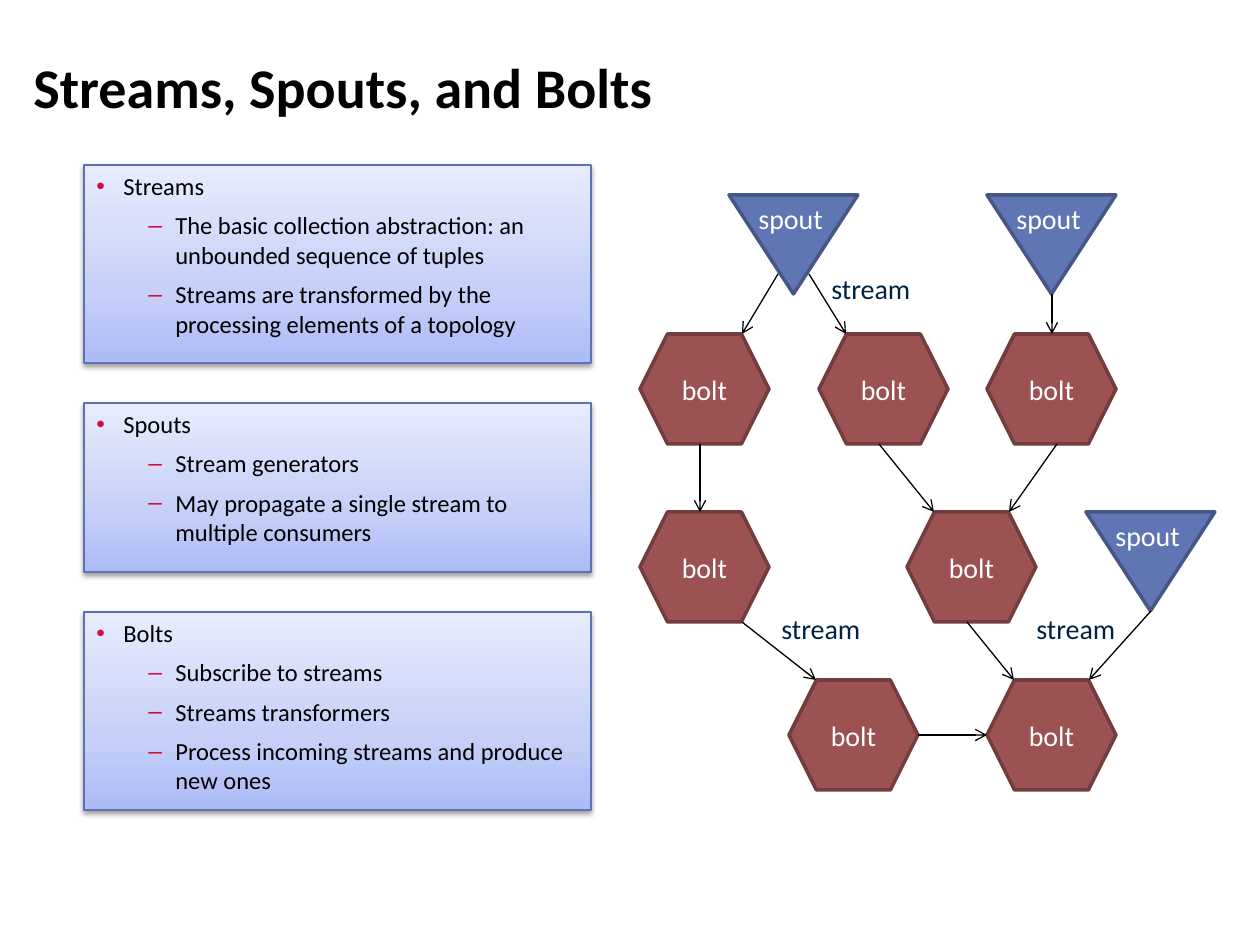
from lxml import etree
from pptx import Presentation
from pptx.dml.color import RGBColor
from pptx.enum.shapes import MSO_CONNECTOR, MSO_SHAPE
from pptx.enum.text import MSO_ANCHOR, MSO_AUTO_SIZE, PP_ALIGN
from pptx.oxml import parse_xml
from pptx.oxml.ns import nsdecls, qn
from pptx.util import Emu, Pt

RECTANGLE, HEXAGON = MSO_SHAPE.RECTANGLE, MSO_SHAPE.HEXAGON
TRIANGLE = MSO_SHAPE.ISOSCELES_TRIANGLE
STRAIGHT = MSO_CONNECTOR.STRAIGHT
TOP, MIDDLE = MSO_ANCHOR.TOP, MSO_ANCHOR.MIDDLE
LEFT, CENTER = PP_ALIGN.LEFT, PP_ALIGN.CENTER
FIT_SHAPE = MSO_AUTO_SIZE.SHAPE_TO_FIT_TEXT

PX_PER_INCH = 126
COLORS = {
    "black": "000000", "white": "FFFFFF", "stream": "002244",
    "bolt": "9C5252", "bolt_line": "733D3D",
    "spout": "6076B4", "spout_line": "475785",
    "panel_line": "5C72B2", "bullet": "CF103A",
    "panel_dark": "ADBBF6", "panel_mid": "C5CFF8", "panel_light": "E8ECFD",
}
TITLE_FONT = {"name": "Calibri", "size": Pt(32), "bold": True}
LABEL_FONT = {"name": "Calibri", "size": Pt(16)}
PANEL_FONT = {"name": "Calibri", "size": Pt(14)}

PANEL_GAP = 40
PANELS = [
    (198, "Streams", ["The basic collection abstraction: an unbounded sequence of tuples",
                      "Streams are transformed by the processing elements of a topology"]),
    (169, "Spouts", ["Stream generators",
                     "May propagate a single stream to multiple consumers"]),
    (198, "Bolts", ["Subscribe to streams", "Streams transformers",
                    "Process incoming streams and produce new ones"]),
]
# Bullet, left margin and hanging indent in px for each outline level
BULLETS = [("•", 27, -27), ("–", 79, -27)]

# Node positions within the topology
BOLT_SIZE, SPOUT_SIZE = (129, 110), (129, 99)
SPOUTS = {"spout 1": (89, 0), "spout 2": (347, 0), "spout 3": (446, 317)}
BOLTS = {
    "bolt 1": (0, 139), "bolt 2": (179, 139), "bolt 3": (347, 139),
    "bolt 4": (0, 317), "bolt 5": (267, 317),
    "bolt 6": (149, 485), "bolt 7": (347, 485),
}
STREAM_LABELS = [(179, 70), (129, 410), (384, 410)]
# Points on a node, relative to its top left corner
ANCHORS = {
    "left edge": (49, 79), "right edge": (80, 79), "tip": (65, 99),
    "top left": (27, 0), "top inner": (60, 0), "top": (65, 0), "top right": (102, 0),
    "left": (0, 55), "right": (129, 55),
    "bottom": (60, 110), "bottom inner": (70, 110), "bottom right": (102, 110),
}
STREAMS = [
    ("spout 1", "left edge", "bolt 1", "top right"),
    ("spout 1", "right edge", "bolt 2", "top left"),
    ("spout 2", "tip", "bolt 3", "top"),
    ("bolt 1", "bottom", "bolt 4", "top inner"),
    ("bolt 2", "bottom", "bolt 5", "top left"),
    ("bolt 3", "bottom inner", "bolt 5", "top right"),
    ("spout 3", "tip", "bolt 7", "top right"),
    ("bolt 4", "bottom right", "bolt 6", "top left"),
    ("bolt 6", "right", "bolt 7", "left"),
    ("bolt 5", "bottom", "bolt 7", "top left"),
]


def px(*lengths):
    return [Emu(round(length * 914400 / PX_PER_INCH)) for length in lengths]


def rgb(color):
    return RGBColor.from_string(COLORS[color])


def set_font(paragraph, font_format, color):
    for attribute, value in font_format.items():
        setattr(paragraph.font, attribute, value)
    paragraph.font.color.rgb = rgb(color)


def write(frame, text, font_format, color, anchor=TOP, align=LEFT):
    frame.vertical_anchor = anchor
    paragraph = frame.paragraphs[0]
    paragraph.text = text
    paragraph.alignment = align
    set_font(paragraph, font_format, color)


def add_node(shapes, preset, left, top, size, color):
    node = shapes.add_shape(preset, *px(left, top, *size))
    node.shadow.inherit = False
    node.fill.solid()
    node.fill.fore_color.rgb = rgb(color)
    node.line.color.rgb = rgb(color + "_line")
    node.line.width = Pt(2)
    return node


def add_label(shapes, text, left, top, width, color):
    label = shapes.add_textbox(*px(left, top, width, 47))
    label.text_frame.word_wrap = False
    label.text_frame.auto_size = FIT_SHAPE
    write(label.text_frame, text, LABEL_FONT, color)


def add_bolt(shapes, left, top):
    bolt = add_node(shapes, HEXAGON, left, top, BOLT_SIZE, "bolt")
    write(bolt.text_frame, "bolt", LABEL_FONT, "white", MIDDLE, CENTER)


def add_spout(shapes, left, top):
    group = shapes.add_group_shape()
    spout = add_node(group.shapes, TRIANGLE, left, top, SPOUT_SIZE, "spout")
    spout._element.spPr.find(qn("a:xfrm")).set("flipV", "1")
    add_label(group.shapes, "spout", left + 17, top, 94, "white")


def add_arrow(shapes, start, end):
    arrow = shapes.add_connector(STRAIGHT, *px(*start, *end))
    arrow.line.color.rgb = rgb("black")
    arrow.line.width = Pt(0.75)
    outline = arrow._element.spPr.find(qn("a:ln"))
    etree.SubElement(outline, qn("a:tailEnd"), type="arrow")
    etree.SubElement(arrow._element.spPr, qn("a:effectLst"))


def add_topology(slide, left, top):
    nodes = {name: (left + x, top + y) for name, (x, y) in {**BOLTS, **SPOUTS}.items()}
    for name in BOLTS:
        add_bolt(slide.shapes, *nodes[name])
    for name in SPOUTS:
        add_spout(slide.shapes, *nodes[name])
    for source, source_side, target, target_side in STREAMS:
        start, end = ([a + b for a, b in zip(nodes[node], ANCHORS[side])]
                      for node, side in ((source, source_side), (target, target_side)))
        add_arrow(slide.shapes, start, end)
    for x, y in STREAM_LABELS:
        add_label(slide.shapes, "stream", left + x, top + y, 107, "stream")


def style_panel(panel):
    """Give a panel its upward gradient, thin outline and soft shadow."""
    stops = "".join(
        f'<a:gs pos="{position}"><a:srgbClr val="{COLORS[color]}"/></a:gs>'
        for position, color in ((0, "panel_dark"), (35000, "panel_mid"), (100000, "panel_light")))
    panel._element.spPr.insert(2, parse_xml(
        f'<a:gradFill {nsdecls("a")} rotWithShape="1"><a:gsLst>{stops}</a:gsLst>'
        '<a:lin ang="16200000" scaled="0"/></a:gradFill>'))
    panel.line.color.rgb = rgb("panel_line")
    panel.line.width = Pt(0.75)
    panel.shadow.inherit = False
    panel._element.spPr.find(qn("a:effectLst")).append(parse_xml(
        f'<a:outerShdw {nsdecls("a")} blurRad="{Pt(3.1)}" dist="{Pt(1.6)}" dir="5400000" '
        f'rotWithShape="0"><a:srgbClr val="{COLORS["black"]}"><a:alpha val="38000"/>'
        '</a:srgbClr></a:outerShdw>'))


def add_bullet(paragraph, level):
    symbol, margin, indent = BULLETS[level]
    properties = paragraph._p.get_or_add_pPr()
    for attribute, length in zip(("marL", "indent"), px(margin, indent)):
        properties.set(attribute, str(length))
    bullet_color = etree.SubElement(properties, qn("a:buClr"))
    etree.SubElement(bullet_color, qn("a:srgbClr"), val=COLORS["bullet"])
    etree.SubElement(properties, qn("a:buFont"), typeface="Arial")
    etree.SubElement(properties, qn("a:buChar"), char=symbol)
    paragraph.level = level


def add_panel(slide, left, top, width, height, heading, points):
    panel = slide.shapes.add_shape(RECTANGLE, *px(left, top, width, height))
    style_panel(panel)
    frame = panel.text_frame
    frame.word_wrap = True
    frame.vertical_anchor = TOP
    for index, text in enumerate([heading, *points]):
        paragraph = frame.add_paragraph() if index else frame.paragraphs[0]
        paragraph.text = text
        paragraph.alignment = LEFT
        add_bullet(paragraph, min(index, 1))
        if index:
            paragraph.space_before = Pt(5.6)
        set_font(paragraph, PANEL_FONT, "black")


def add_panels(slide, left, top, width):
    for height, heading, points in PANELS:
        add_panel(slide, left, top, width, height, heading, points)
        top += height + PANEL_GAP


def add_title(slide, left, top, width, height):
    title = slide.shapes.add_textbox(*px(left, top, width, height))
    title.text_frame.word_wrap = True
    write(title.text_frame, "Streams, Spouts, and Bolts", TITLE_FONT, "black", MIDDLE)


def main():
    deck = Presentation()
    deck.slide_width, deck.slide_height = px(1260, 945)
    slide = deck.slides.add_slide(deck.slide_layouts[6])
    add_title(slide, 21, 16, 1197, 141)
    add_topology(slide, 640, 195)
    add_panels(slide, 84, 165, 507)
    deck.save("out.pptx")


if __name__ == "__main__":
    main()
